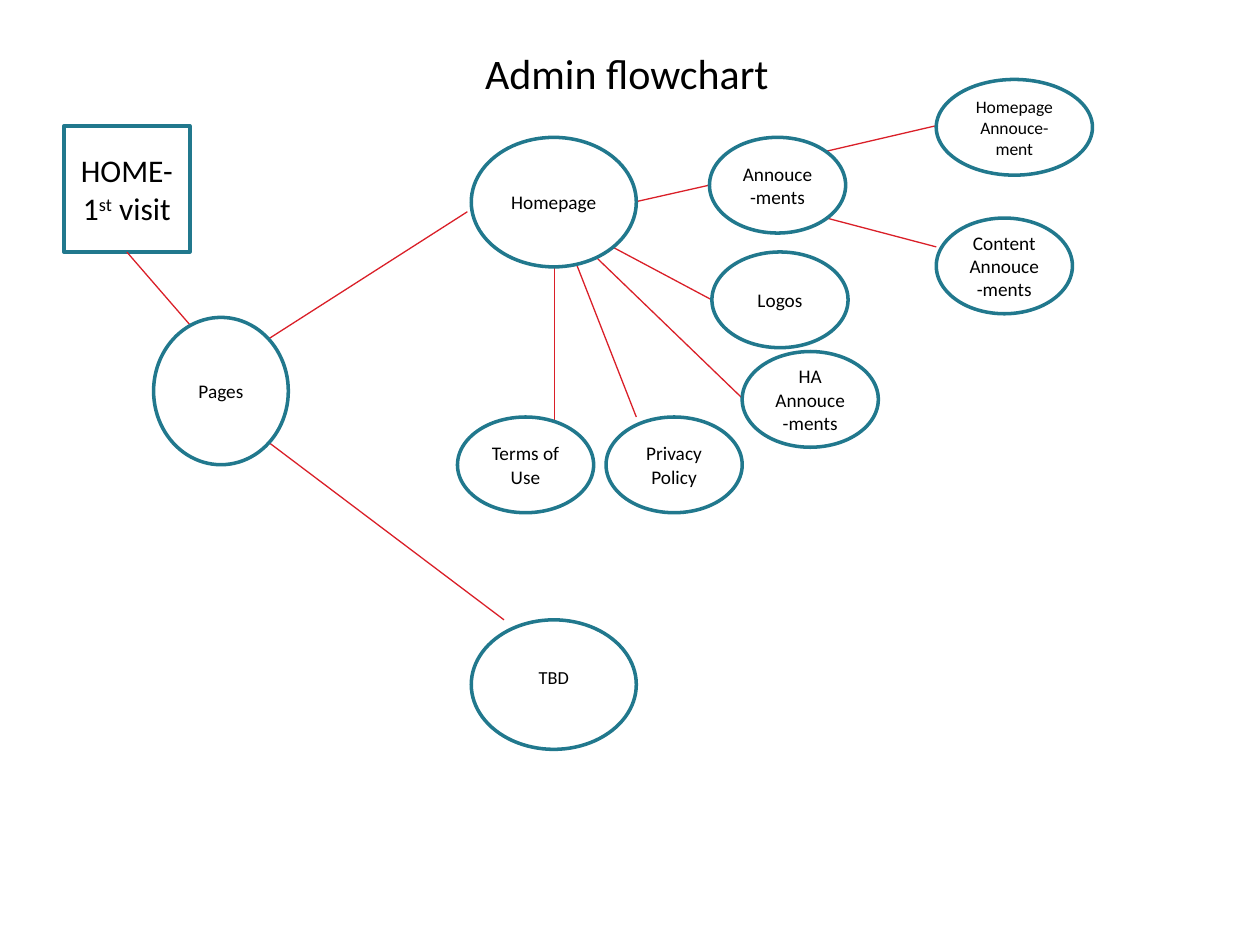
from lxml.etree import SubElement
from pptx import Presentation
from pptx.dml.color import RGBColor
from pptx.enum.shapes import MSO_CONNECTOR, MSO_SHAPE
from pptx.enum.text import MSO_ANCHOR, MSO_AUTO_SIZE, PP_ALIGN
from pptx.oxml.ns import qn
from pptx.util import Pt

WHITE = RGBColor(0xFF, 0xFF, 0xFF)
BLACK = RGBColor(0x00, 0x00, 0x00)
TEAL = RGBColor(0x21, 0x78, 0x8D)
RED = RGBColor(0xDA, 0x1F, 0x28)
FONT = "Calibri"
SMALL = (77.8, 54.7)  # size of the sub-page ellipses
LARGE = (94.3, 74)    # size of the main-page ellipses

# Ellipses: text (\n new paragraph, \v line break), left, top, size, font size
NODES = [
    ("Pages", 87.8, 181.4, (77, 84.2), 11),
    ("Homepage", 269.3, 78.5, LARGE, 11),
    ("Annouce-ments", 405.4, 78.5, SMALL, 11),
    ("Logos", 406.8, 144, SMALL, 11),
    ("HA\nAnnouce-ments", 424.1, 200.9, SMALL, 11),
    ("Privacy Policy", 346.3, 238.3, SMALL, 11),
    ("Terms of Use", 261.4, 238.3, SMALL, 11),
    ("Homepage Annouce-ment", 535, 45.4, (89.3, 54.7), 10),
    ("Content\vAnnouce-ments", 535, 124.6, SMALL, 11),
]

# Links: start x, y, end x, y
LINKS = [
    (153.4, 193.7, 267.1, 121),      # Pages to Homepage
    (153.4, 252.7, 288, 354.2),      # Pages to TBD
    (363.6, 115.2, 405.4, 105.8),    # Homepage to Annoucements
    (349.9, 141.1, 406.8, 171.4),    # Homepage to Logos
    (339.8, 146.2, 424.1, 227.5),    # Homepage to HA
    (329.8, 151.9, 363.6, 238.3),    # Homepage to Privacy Policy
    (316.8, 151.9, 316.8, 250.6),    # Homepage to Terms of Use
    (472.3, 86.4, 534.2, 72),        # Annoucements to Homepage Annoucement
    (472.3, 124.6, 535, 141.1),      # Annoucements to Content Annoucements
]


def add_run(p, text, size):
    r = p.add_run()
    r.text = text
    r.font.name = FONT
    r.font.size = Pt(size)
    r.font.color.rgb = BLACK
    return r


def add_title(s, text):
    sp = s.shapes.title
    sp.left, sp.top, sp.width, sp.height = Pt(269.3), Pt(23.8), Pt(177.8), Pt(36)
    tf = sp.text_frame
    tf.word_wrap = False
    tf.auto_size = MSO_AUTO_SIZE.NONE
    tf.vertical_anchor = MSO_ANCHOR.MIDDLE
    p = tf.paragraphs[0]
    p.alignment = PP_ALIGN.CENTER
    add_run(p, text, 24)


def add_box(s, kind, left, top, width, height):
    sp = s.shapes.add_shape(kind, Pt(left), Pt(top), Pt(width), Pt(height))
    sp.shadow.inherit = False
    sp.fill.solid()
    sp.fill.fore_color.rgb = WHITE
    sp.line.color.rgb = TEAL
    sp.line.width = Pt(2)
    sp.text_frame.word_wrap = True
    sp.text_frame.vertical_anchor = MSO_ANCHOR.MIDDLE
    sp.text_frame.paragraphs[0].alignment = PP_ALIGN.CENTER
    return sp


def add_home(s):
    sp = add_box(s, MSO_SHAPE.RECTANGLE, 36.5, 72, 72, 72)
    p = sp.text_frame.paragraphs[0]
    add_run(p, "HOME-1", 18)
    r = add_run(p, "st", 18)
    r.font._element.set("baseline", "30000")
    add_run(p, " visit", 18)
    return sp


def add_node(s, text, left, top, size, font_size):
    sp = add_box(s, MSO_SHAPE.OVAL, left, top, *size)
    tf = sp.text_frame
    for i, para in enumerate(text.split("\n")):
        p = tf.add_paragraph() if i else tf.paragraphs[0]
        p.alignment = PP_ALIGN.CENTER
        for j, part in enumerate(para.split("\v")):
            if j:
                p.add_line_break()
            add_run(p, part, font_size)
    return sp


def add_link(s, x1, y1, x2, y2):
    line = s.shapes.add_connector(
        MSO_CONNECTOR.STRAIGHT, Pt(x1), Pt(y1), Pt(x2), Pt(y2))
    line.line.color.rgb = RED
    line.line.width = Pt(0.75)
    SubElement(line._element.spPr, qn("a:effectLst"))
    return line


def main():
    prs = Presentation()
    prs.slide_width, prs.slide_height = Pt(720), Pt(540)
    s = prs.slides.add_slide(prs.slide_layouts[5])
    add_title(s, "Admin flowchart")

    # Entry point, joined to Pages
    home = add_home(s)
    add_link(s, 72.5, 144, 108.7, 185.8).begin_connect(home, 2)

    # Links lie beneath the ellipses
    for link in LINKS:
        add_link(s, *link)
    for node in NODES:
        add_node(s, *node)

    # TBD sits a little above the middle of its ellipse
    tbd = add_node(s, "TBD", 269.3, 354.2, LARGE, 10.5)
    tbd.text_frame.margin_bottom = Pt(12)

    prs.save("out.pptx")


if __name__ == "__main__":
    main()
